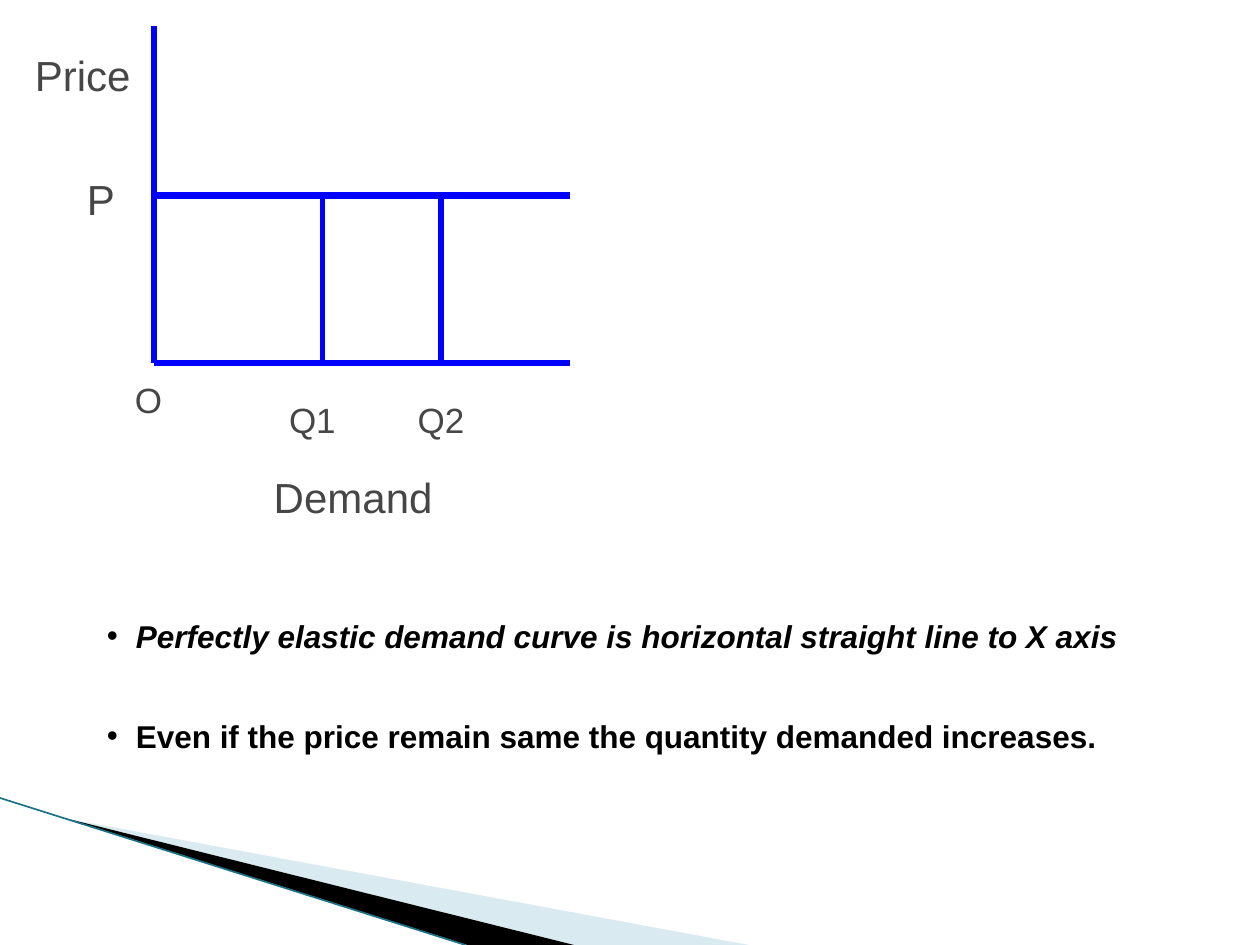
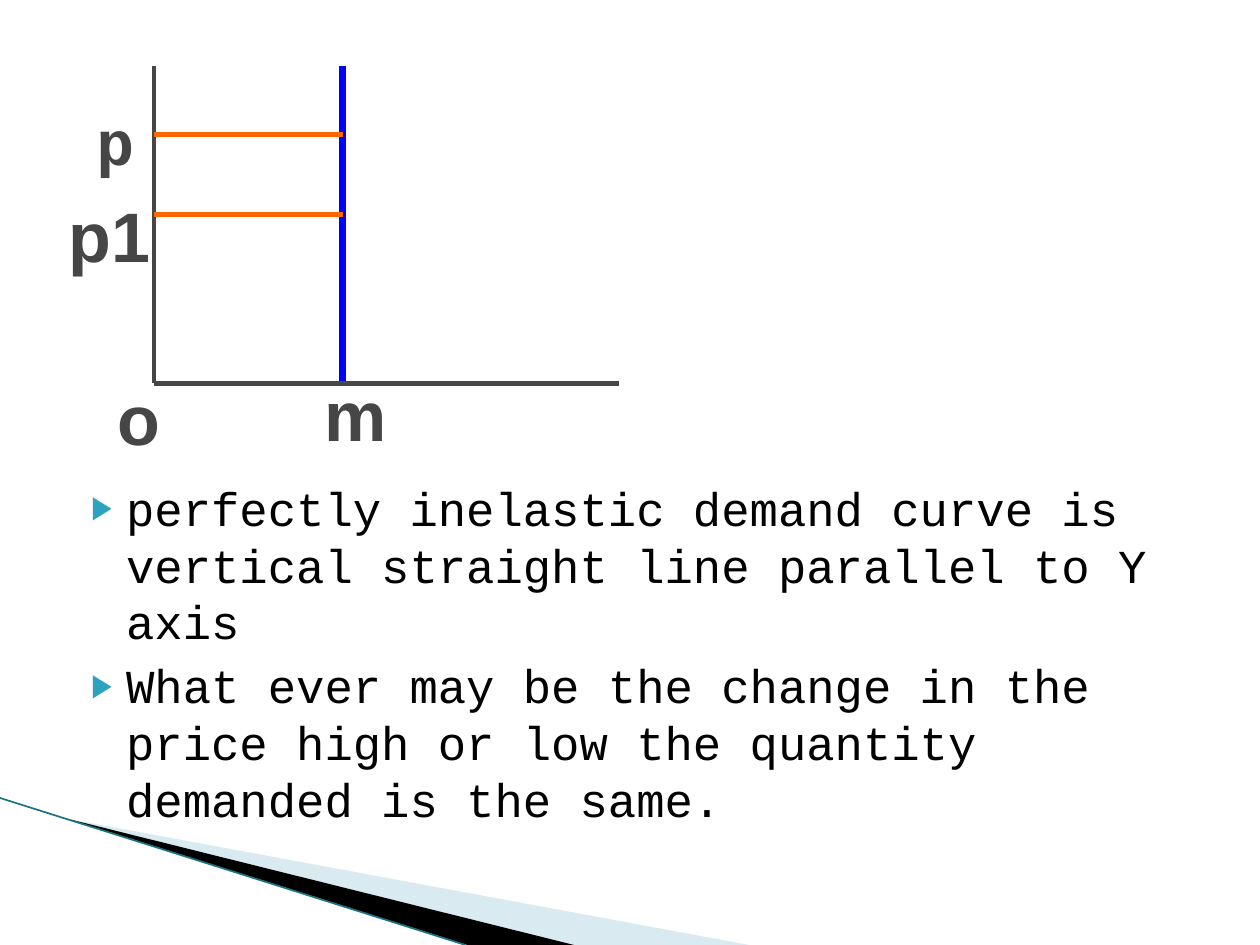
from lxml import etree
from pptx import Presentation
from pptx.dml.color import RGBColor
from pptx.enum.shapes import MSO_CONNECTOR
from pptx.enum.text import MSO_ANCHOR, PP_ALIGN
from pptx.oxml.ns import qn
from pptx.util import Pt

STRAIGHT = MSO_CONNECTOR.STRAIGHT
MIDDLE, TOP = MSO_ANCHOR.MIDDLE, MSO_ANCHOR.TOP
CENTER, LEFT = PP_ALIGN.CENTER, PP_ALIGN.LEFT

WIDTH, HEIGHT = 720, 540
BLANK_LAYOUT = 6
GREY, BLUE, ORANGE, BLACK = "464646", "0000FF", "FF6600", "000000"
PALE_BLUE, TEAL, BULLET_TEAL = "A0CBDC", "1A7284", "2DA2BF"
SANS, MONO = "Arial", "Courier New"
ORIGIN_X = 88


def color(value):
    """Turn a hex string into a colour."""
    return RGBColor.from_string(value)


def add_line(page, start, end, line_color, weight):
    """Draw a straight line without a shadow."""
    line = page.shapes.add_connector(STRAIGHT, *map(Pt, start + end))
    line.line.color.rgb = color(line_color)
    line.line.width = Pt(weight)
    etree.SubElement(line._element.spPr, qn("a:effectLst"))


def add_wedge(page, points, fill, opacity=100):
    """Draw a filled polygon, see-through if opacity is below 100 percent."""
    corners = [(Pt(x), Pt(y)) for x, y in points]
    builder = page.shapes.build_freeform(*corners[0], scale=1.0)
    builder.add_line_segments(corners[1:], close=True)
    wedge = builder.convert_to_shape()
    wedge.shadow.inherit = False
    wedge.fill.solid()
    wedge.fill.fore_color.rgb = color(fill)
    wedge.line.fill.background()
    if opacity < 100:
        rgb = wedge._element.spPr.find(qn("a:solidFill")).find(qn("a:srgbClr"))
        etree.SubElement(rgb, qn("a:alpha"), val=str(opacity * 1000))


def add_box(page, place, anchor):
    """Add a wrapping text box and return its text frame."""
    box = page.shapes.add_textbox(*map(Pt, place))
    frame = box.text_frame
    frame.word_wrap = True
    frame.vertical_anchor = anchor
    return frame


def style(para, font, size, text_color, bold=False, italic=False):
    """Set the font of a whole paragraph."""
    para.font.name = font
    para.font.size = Pt(size)
    para.font.color.rgb = color(text_color)
    para.font.bold = bold
    para.font.italic = italic


def add_label(page, text, place, size, font=SANS, bold=False, align=CENTER):
    """Add a short grey label of the diagram."""
    para = add_box(page, place, MIDDLE).paragraphs[0]
    para.text = text
    para.alignment = align
    style(para, font, size, GREY, bold)


def set_bullet(para, sign, margin, hang, bullet_color=BLACK, percent=100):
    """Give a paragraph a bullet with a hanging indent."""
    props = para._p.get_or_add_pPr()
    props.set("marL", str(Pt(margin)))
    props.set("indent", str(-Pt(hang)))
    # Bullet elements have to stand before the default run properties.
    bullet = [etree.Element(qn(tag)) for tag in
              ("a:buClr", "a:buSzPct", "a:buFont", "a:buChar")]
    etree.SubElement(bullet[0], qn("a:srgbClr"), val=bullet_color)
    bullet[1].set("val", str(percent * 1000))
    bullet[2].set("typeface", SANS)
    bullet[3].set("char", sign)
    run_props = props.find(qn("a:defRPr"))
    for element in bullet:
        run_props.addprevious(element)


def add_page(deck):
    """Add a blank page with the wedges in the lower left corner."""
    page = deck.slides.add_slide(deck.slide_layouts[BLANK_LAYOUT])
    page.background.fill.solid()
    page.background.fill.fore_color.rgb = color("FFFFFF")
    tip = (39, 468)
    add_wedge(page, [tip, (428, HEIGHT), (328, HEIGHT)], PALE_BLUE, 40)
    add_wedge(page, [tip, (328, HEIGHT), (267, HEIGHT)], BLACK)
    add_line(page, (0, 456), (266, HEIGHT), TEAL, 0.95)
    return page


def build_elastic(deck):
    """Show the perfectly elastic demand curve."""
    page = add_page(deck)
    base, price, right = 207.5, 111.5, 326
    add_line(page, (ORIGIN_X, 15), (ORIGIN_X, base), BLUE, 3)
    add_line(page, (right, base), (ORIGIN_X, base), BLUE, 3)
    add_line(page, (right, price), (ORIGIN_X, price), BLUE, 4)
    for quantity in (184.5, 252):
        add_line(page, (quantity, price), (quantity, base), BLUE, 3)

    for text, place, size in (
        ("P", (42.5, 100, 29, 27.5), 24),
        ("O", (70, 214.5, 29, 27.5), 20),
        ("Q1", (155.5, 226, 46, 27.5), 20),
        ("Q2", (229, 226, 46, 27.5), 20),
        ("Price", (0, 31.5, 94.5, 22.5), 24),
        ("Demand", (139, 270, 125.5, 27.5), 24),
    ):
        add_label(page, text, place, size)

    for text, top, italic in (
        ("Perfectly elastic demand curve is horizontal straight line to X axis",
         349, True),
        ("Even if the price remain same the quantity demanded increases.",
         406, False),
    ):
        para = add_box(page, (54, top, 624, 29), TOP).paragraphs[0]
        para.text = text
        para.space_before = Pt(3.6)
        style(para, SANS, 18, BLACK, True, italic)
        set_bullet(para, "•", 16.5, 16.5)


def build_inelastic(deck):
    """Show the perfectly inelastic demand curve."""
    page = add_page(deck)
    top, base, quantity = 37.5, 219, 196
    add_label(page, "p", (48, 66, 34, 28), 36, MONO, True, LEFT)

    frame = add_box(page, (36, 270, 648, 212.5), TOP)
    for index, text in enumerate((
        "perfectly inelastic demand curve is vertical straight line parallel "
        "to Y axis",
        "What ever may be the change in the price high or low the quantity "
        "demanded is the same.",
    )):
        para = frame.add_paragraph() if index else frame.paragraphs[0]
        para.text = text
        para.space_before = Pt(4)
        para.line_spacing = Pt(32.5)
        style(para, MONO, 27, BLACK)
        set_bullet(para, "▶", 29, 20, BULLET_TEAL, 68)

    add_line(page, (ORIGIN_X, top), (ORIGIN_X, base), GREY, 2.75)
    add_line(page, (quantity, top), (quantity, base), BLUE, 4)
    add_line(page, (ORIGIN_X, base), (354, base), GREY, 3)
    for price, weight in ((77, 2.75), (122.5, 2.5)):
        add_line(page, (ORIGIN_X, price), (quantity, price), ORANGE, weight)

    for text, place in (
        ("p1", (20, 111, 85, 45.5)),
        ("o", (60, 224.5, 34, 28)),
        ("m", (178.5, 219, 45.5, 34)),
    ):
        add_label(page, text, place, 40, bold=True)


def main():
    """Build the deck and save it."""
    deck = Presentation()
    deck.slide_width, deck.slide_height = Pt(WIDTH), Pt(HEIGHT)
    build_elastic(deck)
    build_inelastic(deck)
    deck.save("out.pptx")


main()
